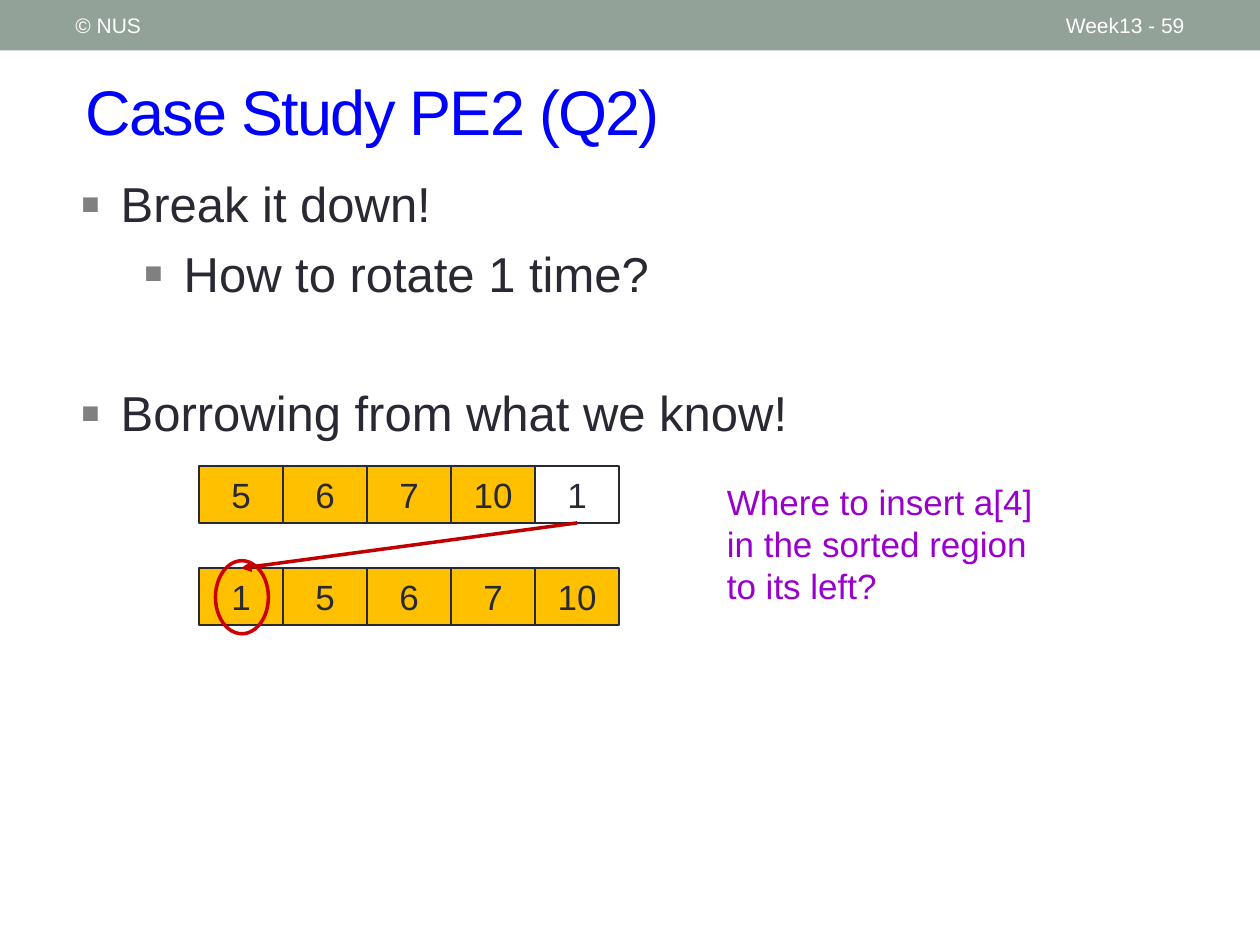
from lxml.etree import SubElement
from pptx import Presentation
from pptx.dml.color import RGBColor
from pptx.enum.shapes import MSO_CONNECTOR, MSO_SHAPE
from pptx.enum.text import MSO_ANCHOR, PP_ALIGN
from pptx.oxml.ns import qn
from pptx.util import Inches, Pt

THEME = {
    "font": "Arial",
    "band": RGBColor(0x93, 0xA2, 0x99),
    "white": RGBColor(0xFF, 0xFF, 0xFF),
    "title": RGBColor(0x00, 0x00, 0xFF),
    "ink": RGBColor(0x29, 0x29, 0x34),
    "bullet": "808080",
    "sorted": RGBColor(0xFF, 0xC0, 0x00),
    "ring": RGBColor(0xCC, 0x00, 0x00),
    "arrow": RGBColor(0xC0, 0x00, 0x00),
    "question": RGBColor(0x99, 0x00, 0xCC),
    "title_size": Pt(36),
    "body_size": Pt(28),
    "cell_size": Pt(20),
    "band_size": Pt(12),
}

presentation = Presentation()
presentation.slide_width, presentation.slide_height = Inches(10), Inches(7.5)
slide = presentation.slides.add_slide(presentation.slide_layouts[5])
shapes = slide.shapes


def write(shape, text, size, color, align=PP_ALIGN.LEFT, anchor=MSO_ANCHOR.MIDDLE):
    """Put one formatted paragraph into a shape."""
    frame = shape.text_frame
    frame.word_wrap = True
    frame.vertical_anchor = anchor
    frame.text = text
    paragraph = frame.paragraphs[0]
    paragraph.alignment = align
    format_font(paragraph.runs[0].font, size, color)


def format_font(font, size, color):
    for name, value in {"name": THEME["font"], "size": THEME[size]}.items():
        setattr(font, name, value)
    font.color.rgb = THEME[color]


# Header band
band = shapes.add_shape(MSO_SHAPE.RECTANGLE, 0, 0, presentation.slide_width, Inches(0.4))
band.shadow.inherit = False
band.fill.solid()
band.fill.fore_color.rgb = THEME["band"]
band.line.fill.background()
for text, left, width, align in (
    ("Week13 - 59", 8.33, 1.17, PP_ALIGN.RIGHT),
    ("© NUS", 0.5, 3.17, PP_ALIGN.LEFT),
):
    label = shapes.add_textbox(Inches(left), Inches(0.02), Inches(width), Inches(0.36))
    write(label, text, "band_size", "white", align)

# Title
title = shapes.title
for name, value in {"left": 0.58, "top": 0.5, "width": 8.92, "height": 0.75}.items():
    setattr(title, name, Inches(value))
write(title, "Case Study PE2 (Q2)", "title_size", "title")
title.text_frame.paragraphs[0].runs[0].font._element.set("spc", "-100")

# Bulleted points: text, level, space before
points = (
    ("Break it down!", 0, 0),
    ("How to rotate 1 time?", 1, 6),
    ("Borrowing from what we know!", 0, 46),
)
body = shapes.add_textbox(Inches(0.54), Inches(1.33), Inches(8.87), Inches(5.08))
body.text_frame.word_wrap = True
for index, (text, level, gap) in enumerate(points):
    paragraph = body.text_frame.paragraphs[0] if index == 0 else body.text_frame.add_paragraph()
    paragraph.level = level
    paragraph.space_before = Pt(gap)
    properties = paragraph._p.get_or_add_pPr()
    properties.set("marL", str(Inches(0.32 + 0.5 * level)))
    properties.set("indent", str(Inches(-0.32)))
    bullet_color = SubElement(properties, qn("a:buClr"))
    SubElement(bullet_color, qn("a:srgbClr"), val=THEME["bullet"])
    SubElement(properties, qn("a:buSzPct"), val="120000")
    SubElement(properties, qn("a:buFont"), typeface=THEME["font"])
    SubElement(properties, qn("a:buChar"), char="▪")
    run = paragraph.add_run()
    run.text = text
    format_font(run.font, "body_size", "ink")

# Array before and after one rotation; only the sorted cells are filled
column = presentation.slide_width // 15
grid_left, cell_height = Inches(1.58), Inches(0.45)
arrays = (
    (Inches(3.7), (5, 6, 7, 10, 1), 4),
    (Inches(4.51), (1, 5, 6, 7, 10), 5),
)
rows = []
for top, values, sorted_count in arrays:
    cells = []
    for index, value in enumerate(values):
        cell = shapes.add_shape(
            MSO_SHAPE.RECTANGLE, grid_left + index * column, top, column, cell_height
        )
        cell.shadow.inherit = False
        if index < sorted_count:
            cell.fill.solid()
            cell.fill.fore_color.rgb = THEME["sorted"]
        else:
            cell.fill.background()
        cell.line.color.rgb = THEME["ink"]
        cell.line.width = Pt(1)
        write(cell, str(value), "cell_size", "ink", PP_ALIGN.CENTER)
        cells.append(cell)
    rows.append(cells)

# Ring around the inserted value
ring = shapes.add_shape(MSO_SHAPE.OVAL, Inches(1.71), Inches(4.45), Inches(0.42), Inches(0.58))
ring.shadow.inherit = False
ring.fill.background()
ring.line.color.rgb = THEME["ring"]
ring.line.width = Pt(2)

# Question beside the arrays
question = shapes.add_textbox(Inches(5.67), Inches(3.76), 4 * column, Inches(1.1))
write(question, "Where to insert a[4] in the sorted region to its left?", "cell_size", "question")

# Arrow from the last cell to its new place
arrow = shapes.add_connector(MSO_CONNECTOR.STRAIGHT, 0, 0, 0, 0)
arrow.begin_connect(rows[0][-1], 2)
arrow.end_connect(rows[1][0], 0)
arrow.line.color.rgb = THEME["arrow"]
arrow.line.width = Pt(2)
SubElement(arrow.line._get_or_add_ln(), qn("a:tailEnd"), type="triangle")
SubElement(arrow._element.spPr, qn("a:effectLst"))

presentation.save("out.pptx")
